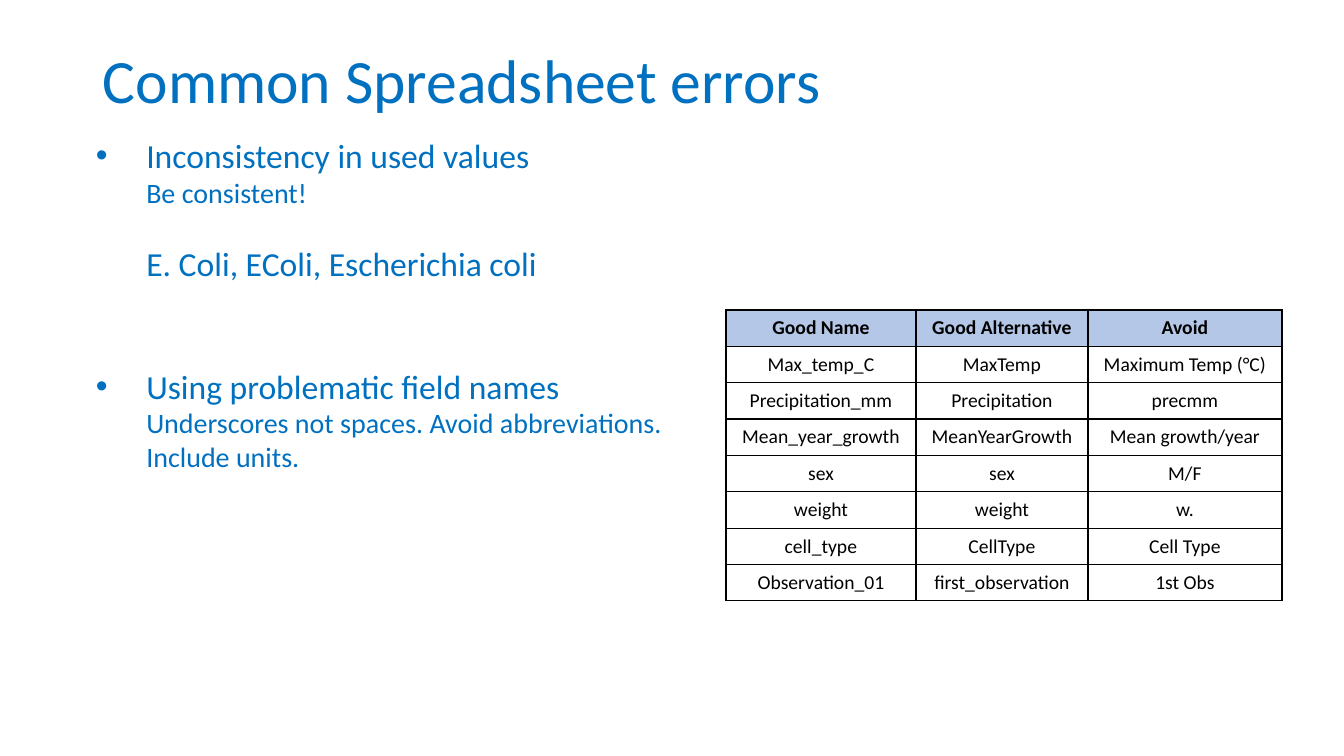
from dataclasses import dataclass

from lxml import etree
from pptx import Presentation
from pptx import util as u
from pptx.dml.color import RGBColor
from pptx.enum import text
from pptx.oxml.ns import qn

EMU_PER_PX = 914400 / 100.8
FONT = "Calibri"
COLORS = {"blue": "0070C0", "header": "B4C7E7", "white": "FFFFFF", "black": "000000"}


@dataclass
class Line:
    wording: str
    size: int
    bullet: bool = False
    space_before: float = 0


BODY_LINES = [
    Line("Inconsistency in used values", 24, bullet=True),
    Line("Be consistent!", 20),
    Line("E. Coli, EColi, Escherichia coli", 24, space_before=24.4),
    Line("Using problematic field names", 24, bullet=True, space_before=58.6),
    Line("Underscores not spaces. Avoid abbreviations. \nInclude units.", 20),
]

FIELD_NAMES = [
    ("Good Name", "Good Alternative", "Avoid"),
    ("Max_temp_C", "MaxTemp", "Maximum Temp (°C)"),
    ("Precipitation_mm", "Precipitation", "precmm"),
    ("Mean_year_growth", "MeanYearGrowth", "Mean growth/year"),
    ("sex", "sex", "M/F"),
    ("weight", "weight", "w."),
    ("cell_type", "CellType", "Cell Type"),
    ("Observation_01", "first_observation", "1st Obs"),
]
COLUMN_WIDTHS = (190, 172, 194)
TABLE_HEIGHT = 291


def px(length: int) -> u.Emu:
    return u.Emu(round(length * EMU_PER_PX))


def format_runs(paragraph, size: int, color: str, bold: bool = False) -> None:
    for run in paragraph.runs:
        run.font.name = FONT
        run.font.size = u.Pt(size)
        run.font.bold = bold
        run.font.color.rgb = RGBColor.from_string(COLORS[color])


def add_text_frame(slide, left: int, top: int, width: int, height: int):
    frame = slide.shapes.add_textbox(px(left), px(top), px(width), px(height)).text_frame
    frame.word_wrap = True
    return frame


def write_line(paragraph, line: Line) -> None:
    paragraph.text = line.wording
    properties = paragraph._p.get_or_add_pPr()
    properties.set("marL", str(u.Inches(0.5)))
    properties.set("indent", str(u.Inches(-0.5 if line.bullet else 0)))
    if line.bullet:
        etree.SubElement(properties, qn("a:buFont")).set("typeface", "Arial")
        etree.SubElement(properties, qn("a:buChar")).set("char", "•")
    else:
        paragraph.level = 1
        etree.SubElement(properties, qn("a:buNone"))
    if line.space_before:
        paragraph.space_before = u.Pt(line.space_before)
    format_runs(paragraph, line.size, "blue")


def add_borders(cell) -> None:
    properties = cell._tc.get_or_add_tcPr()
    for position, side in enumerate(("a:lnL", "a:lnR", "a:lnT", "a:lnB")):
        border = etree.Element(qn(side), w=str(u.Pt(1)))
        fill = etree.SubElement(border, qn("a:solidFill"))
        etree.SubElement(fill, qn("a:srgbClr")).set("val", COLORS["black"])
        properties.insert(position, border)


def write_cell(cell, wording: str, is_header: bool) -> None:
    cell.text_frame.text = wording
    cell.vertical_anchor = text.MSO_ANCHOR.MIDDLE
    cell.margin_left = cell.margin_right = px(14)
    cell.margin_top = cell.margin_bottom = px(6)
    cell.fill.solid()
    cell.fill.fore_color.rgb = RGBColor.from_string(COLORS["header" if is_header else "white"])
    add_borders(cell)
    paragraph = cell.text_frame.paragraphs[0]
    paragraph.alignment = text.PP_ALIGN.CENTER
    format_runs(paragraph, 14, "black", bold=is_header)


def add_field_table(slide) -> None:
    row_count = len(FIELD_NAMES)
    table = slide.shapes.add_table(
        row_count, len(COLUMN_WIDTHS), px(726), px(310), px(sum(COLUMN_WIDTHS)), px(TABLE_HEIGHT)
    ).table
    table.horz_banding = False
    for column, width in zip(table.columns, COLUMN_WIDTHS):
        column.width = px(width)
    for row_index, names in enumerate(FIELD_NAMES):
        table.rows[row_index].height = u.Emu(px(TABLE_HEIGHT) // row_count)
        for column_index, name in enumerate(names):
            write_cell(table.cell(row_index, column_index), name, row_index == 0)


def main() -> None:
    presentation = Presentation()
    presentation.slide_width, presentation.slide_height = px(1344), px(756)
    slide = presentation.slides.add_slide(presentation.slide_layouts[6])

    # Bulleted advice
    body = add_text_frame(slide, 86, 130, 729, 390)
    for index, line in enumerate(BODY_LINES):
        write_line(body.paragraphs[0] if index == 0 else body.add_paragraph(), line)

    # Title
    title = add_text_frame(slide, 93, 11, 1159, 146)
    title.vertical_anchor = text.MSO_ANCHOR.MIDDLE
    title.text = "Common Spreadsheet errors"
    title.paragraphs[0].line_spacing = 0.9
    format_runs(title.paragraphs[0], 44, "blue")

    # Table of field names
    add_field_table(slide)

    presentation.save("out.pptx")


if __name__ == "__main__":
    main()
